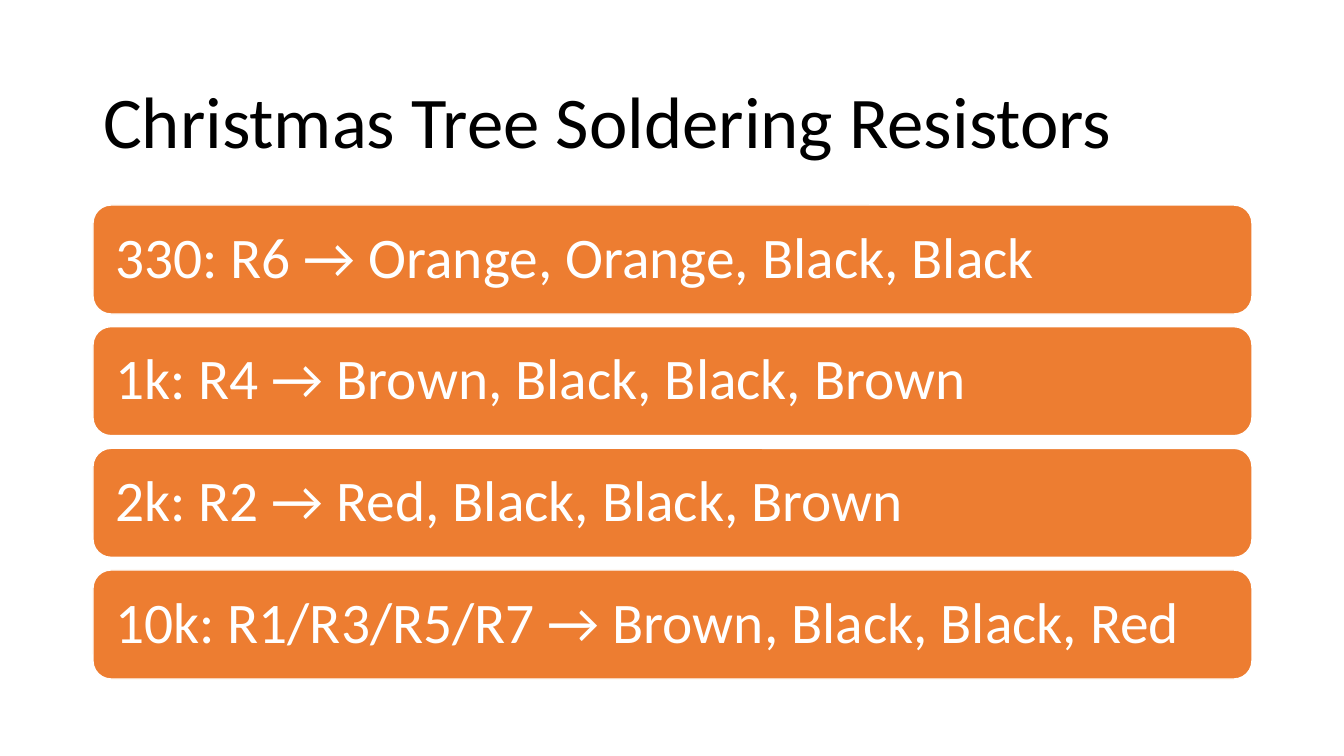
import pptx
import pptx.util
import pptx.dml.color
import pptx.enum.shapes
import pptx.enum.text

TITLE = "Christmas Tree Soldering Resistors"
RESISTORS = [
    ("330", "R6", "Orange, Orange, Black, Black"),
    ("1k", "R4", "Brown, Black, Black, Brown"),
    ("2k", "R2", "Red, Black, Black, Brown"),
    ("10k", "R1/R3/R5/R7", "Brown, Black, Black, Red"),
]

THEME = {
    "font": "Calibri",
    "title": {"size": 52, "color": "000000"},
    "bar": {"size": 41, "color": "FFFFFF"},
    "fill": "ED7D31",
    "line": "FFFFFF",
}

SLIDE_W, SLIDE_H = 1344, 756
LEFT, WIDTH = 93, 1159
TITLE_TOP, TITLE_H = 62, 125
BARS_TOP, BARS_BOTTOM, BAR_H = 205, 679, 109
BAR_INSET = 17
SCALE = 914400 / 100.8


def px(n):
    return pptx.util.Emu(round(n * SCALE))


def rgb(code):
    return pptx.dml.color.RGBColor.from_string(code)


def apply(obj, values):
    for name, value in values.items():
        setattr(obj, name, value)


def write(sp, text, style, insets=None):
    tf = sp.text_frame
    tf.text = text
    apply(tf, {
        "word_wrap": True,
        "auto_size": pptx.enum.text.MSO_AUTO_SIZE.NONE,
        "vertical_anchor": pptx.enum.text.MSO_ANCHOR.MIDDLE,
        **(insets or {}),
    })
    p = tf.paragraphs[0]
    apply(p, {"alignment": pptx.enum.text.PP_ALIGN.LEFT, "line_spacing": 0.9})
    r = p.runs[0]
    apply(r.font, {"name": THEME["font"], "size": pptx.util.Pt(style["size"])})
    r.font.color.rgb = rgb(style["color"])


def add_bar(s, top, text):
    sp = s.shapes.add_shape(
        pptx.enum.shapes.MSO_SHAPE.ROUNDED_RECTANGLE,
        px(LEFT), px(top), px(WIDTH), px(BAR_H))
    sp.shadow.inherit = False
    sp.fill.solid()
    sp.fill.fore_color.rgb = rgb(THEME["fill"])
    sp.line.color.rgb = rgb(THEME["line"])
    sp.line.width = pptx.util.Pt(1)
    sides = ("left", "top", "right", "bottom")
    write(sp, text, THEME["bar"], {f"margin_{side}": px(BAR_INSET) for side in sides})


def main():
    prs = pptx.Presentation()
    apply(prs, {"slide_width": px(SLIDE_W), "slide_height": px(SLIDE_H)})
    s = prs.slides.add_slide(prs.slide_layouts[5])

    title = s.shapes.title
    apply(title, {"left": px(LEFT), "top": px(TITLE_TOP),
                  "width": px(WIDTH), "height": px(TITLE_H)})
    write(title, TITLE, THEME["title"])

    pitch = (BARS_BOTTOM - BARS_TOP - BAR_H) / (len(RESISTORS) - 1)
    for i, (value, parts, bands) in enumerate(RESISTORS):
        add_bar(s, BARS_TOP + i * pitch, f"{value}: {parts} → {bands}")

    prs.save("out.pptx")


if __name__ == "__main__":
    main()
